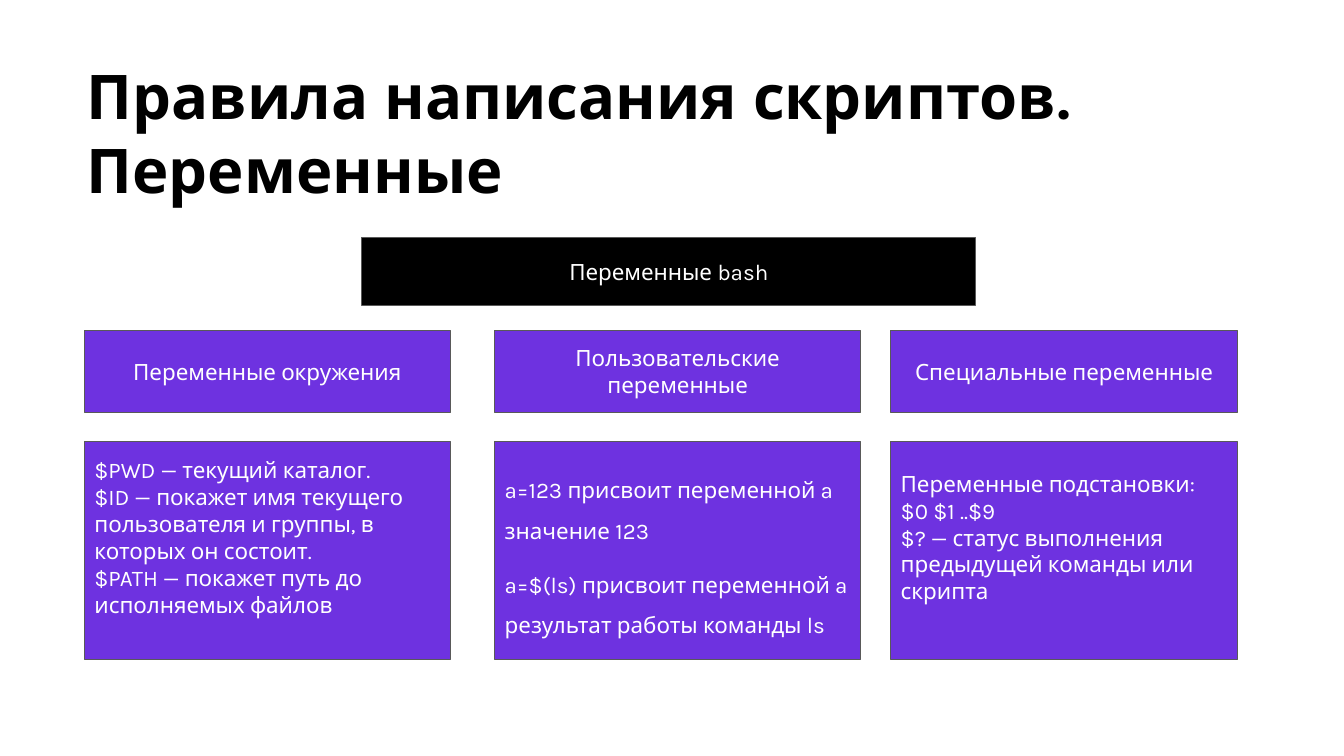
import pptx
import pptx.util
from pptx.dml.color import RGBColor
from pptx.enum.shapes import MSO_SHAPE
from pptx.enum.text import MSO_ANCHOR, MSO_AUTO_SIZE, PP_ALIGN

Cm, Pt = pptx.util.Cm, pptx.util.Pt

BLACK = RGBColor(0x00, 0x00, 0x00)
WHITE = RGBColor(0xFF, 0xFF, 0xFF)
VIOLET = RGBColor(0x6E, 0x32, 0xE0)
GREY = RGBColor(0x59, 0x59, 0x59)
FONT = "Karla"

TITLE = "Правила написания скриптов. Переменные"
ROOT = "Переменные bash"
# left and width in cm, heading, body paragraphs, line spacing, gap in pt, bottom inset in cm
COLUMNS = [
    (2.13, 9.22, "Переменные окружения",
     ["$PWD — текущий каталог.",
      "$ID — покажет имя текущего пользователя и группы, в которых он состоит.",
      "$PATH — покажет путь до исполняемых файлов"], 1, 0, 0.93),
    (12.47, 9.22, "Пользовательские переменные",
     ["a=123 присвоит переменной a значение 123",
      "a=$(ls) присвоит переменной a результат работы команды ls"], 1.5, 10, 0.25),
    (22.45, 8.74, "Специальные переменные",
     ["Переменные подстановки: $0 $1 ..$9",
      "$? — статус выполнения предыдущей команды или скрипта"], 1, 0, 0.93),
]
HEADING_TOP, HEADING_HEIGHT = 8.33, 2.06
BODY_TOP, BODY_HEIGHT = 11.13, 5.49
INSET = 0.25


def add_run(p, text, size, color, bold=False):
    r = p.add_run()
    r.text = text
    r.font.name = FONT
    r.font.size = Pt(size)
    r.font.bold = bold
    r.font.color.rgb = color


def add_box(slide, left, top, width, height, fill, lines, align=PP_ALIGN.CENTER,
            spacing=1, gap=0, bottom=INSET):
    sp = slide.shapes.add_shape(MSO_SHAPE.RECTANGLE, Cm(left), Cm(top), Cm(width), Cm(height))
    sp.shadow.inherit = False
    sp.fill.solid()
    sp.fill.fore_color.rgb = fill
    sp.line.color.rgb = GREY
    sp.line.width = Pt(0.75)
    tf = sp.text_frame
    tf.word_wrap = True
    tf.vertical_anchor = MSO_ANCHOR.MIDDLE
    tf.margin_left = tf.margin_right = tf.margin_top = Cm(INSET)
    tf.margin_bottom = Cm(bottom)
    for i, line in enumerate(lines):
        p = tf.add_paragraph() if i else tf.paragraphs[0]
        p.alignment = align
        p.line_spacing = float(spacing)
        p.space_before = Pt(gap if i else 0)
        add_run(p, line, 16, WHITE)


def main():
    prs = pptx.Presentation()
    prs.slide_width, prs.slide_height = Cm(33.87), Cm(19.05)
    slide = prs.slides.add_slide(prs.slide_layouts[5])

    title = slide.shapes.title
    title.left, title.top, title.width, title.height = Cm(1.93), Cm(1.3), Cm(29.95), Cm(4.06)
    tf = title.text_frame
    tf.word_wrap = True
    tf.auto_size = MSO_AUTO_SIZE.NONE
    tf.vertical_anchor = MSO_ANCHOR.MIDDLE
    tf.paragraphs[0].alignment = PP_ALIGN.LEFT
    add_run(tf.paragraphs[0], TITLE, 44, BLACK, bold=True)

    add_box(slide, 9.12, 5.99, 15.47, 1.7, BLACK, [ROOT])
    for left, width, heading, lines, spacing, gap, bottom in COLUMNS:
        add_box(slide, left, HEADING_TOP, width, HEADING_HEIGHT, VIOLET, [heading])
        add_box(slide, left, BODY_TOP, width, BODY_HEIGHT, VIOLET, lines,
                PP_ALIGN.LEFT, spacing, gap, bottom)

    prs.save("out.pptx")


if __name__ == "__main__":
    main()
